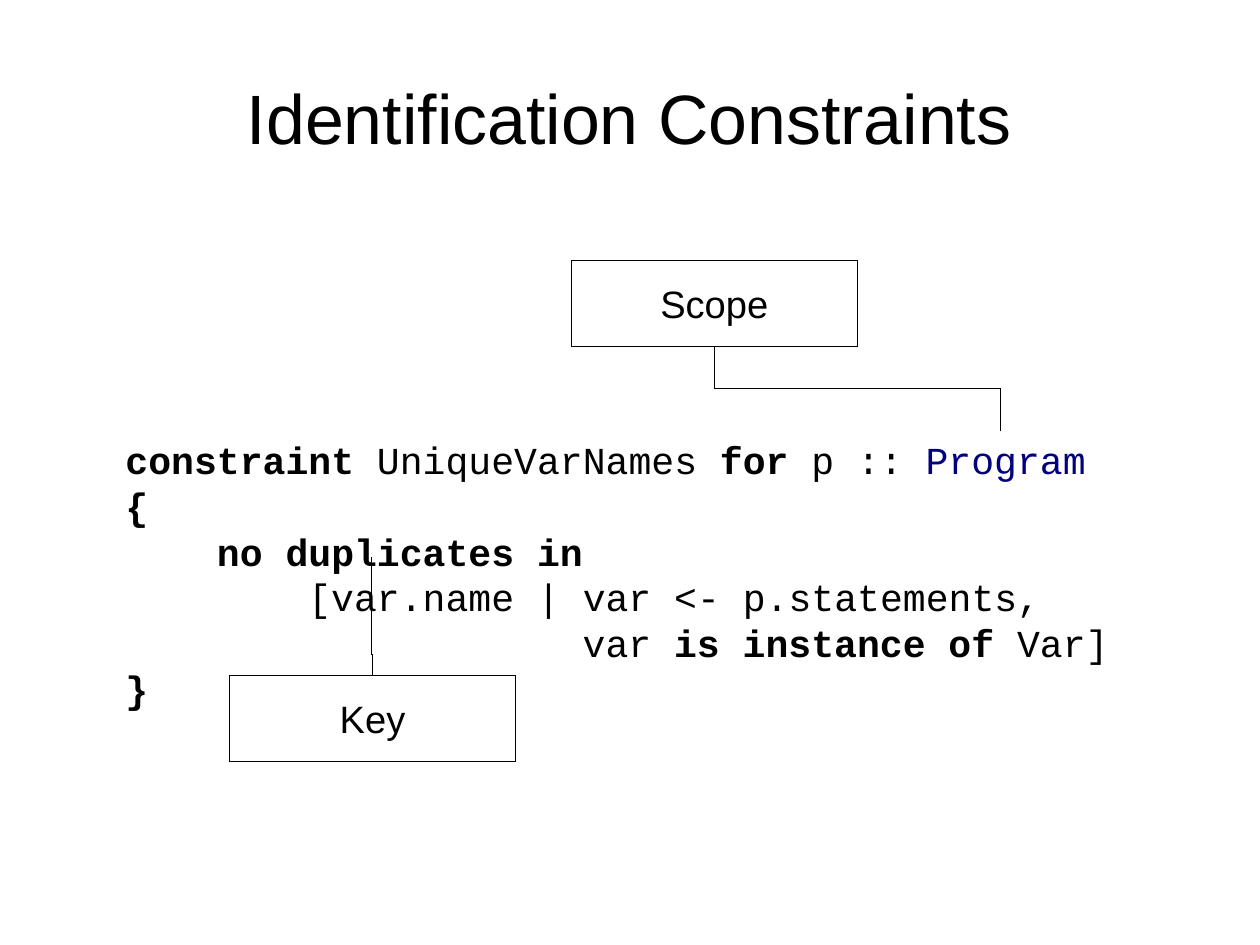
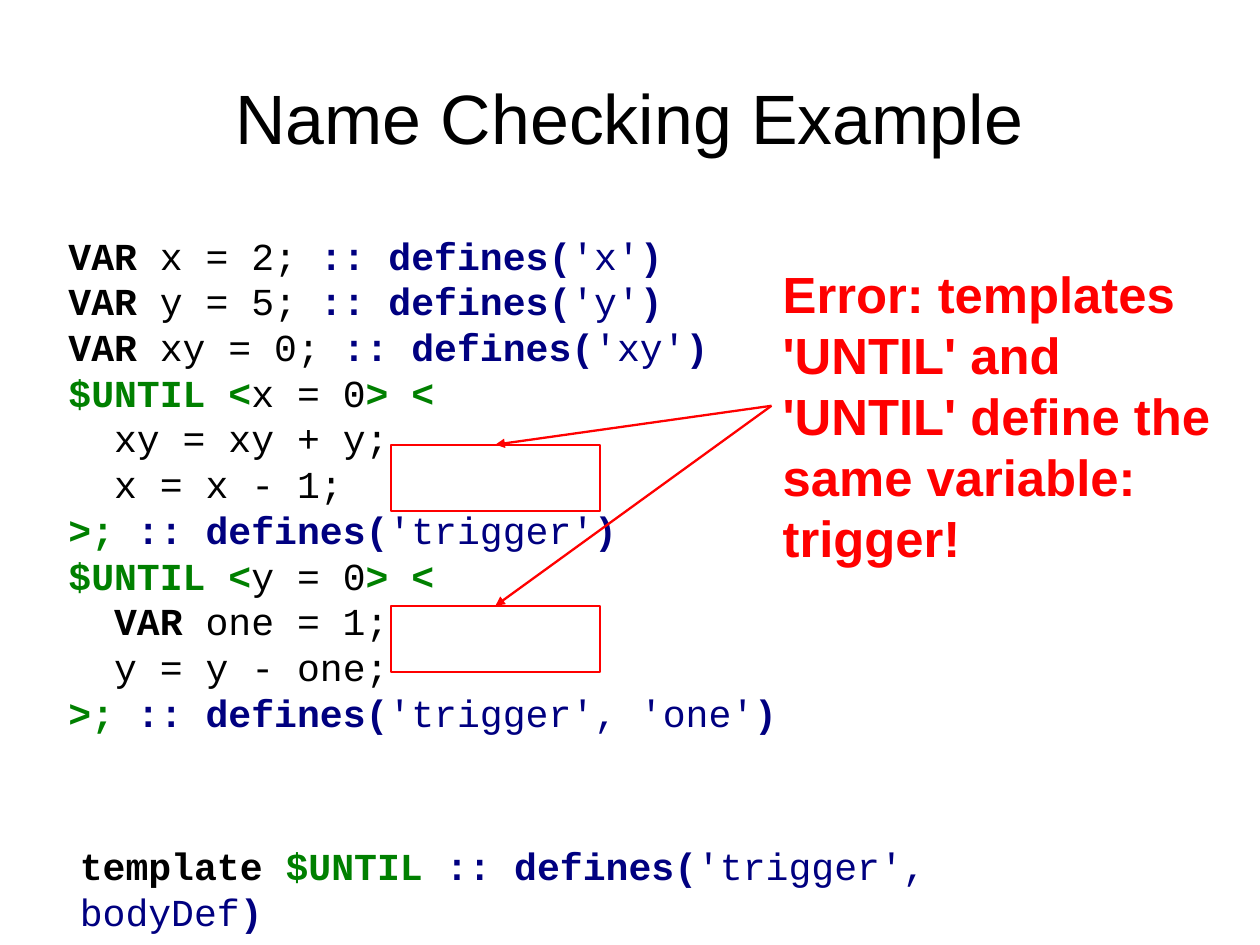
import pptx
import pptx.util
import pptx.dml.color
import pptx.enum.shapes
import pptx.enum.text
import pptx.oxml.ns
from lxml import etree

Inches, Pt = pptx.util.Inches, pptx.util.Pt
qn = pptx.oxml.ns.qn
ALIGN = pptx.enum.text.PP_ALIGN
ANCHOR = pptx.enum.text.MSO_ANCHOR
CONNECTOR = pptx.enum.shapes.MSO_CONNECTOR

COLORS = {"text": "000000", "type": "000080", "template": "008000",
          "error": "FF0000", "paper": "FFFFFF"}
SANS, MONO = "Arial", "Courier New"
CODE_SIZE, LINE_FACTOR = 24, 1.2
CHAR_WIDTH = 0.2  # one character of the code font, in inches

# Run styles: colour, bold
PLAIN, KEYWORD = ("text", False), ("text", True)
ATTR, ATTR_BOLD = ("type", False), ("type", True)
TEMPLATE, ERROR = ("template", True), ("error", True)


def defines(names):
    return [(":: defines(", ATTR_BOLD), (names, ATTR), (")", ATTR_BOLD)]


def declaration(name, value):
    return (0, [("VAR", KEYWORD), (f" {name} = {value}; ", PLAIN), *defines(f"'{name}'")])


def until_head(variable):
    return (0, [("$UNTIL <", TEMPLATE), (f"{variable} = 0", PLAIN), ("> <", TEMPLATE)])


def until_end(names):
    return (0, [(">; ", TEMPLATE), *defines(names)])


# Code lines: indent in characters, runs
CONSTRAINT_CODE = [
    (0, [("constraint", KEYWORD), (" UniqueVarNames ", PLAIN), ("for", KEYWORD),
         (" p :: ", PLAIN), ("Program ", ATTR), ("{", KEYWORD)]),
    (4, [("no duplicates in", KEYWORD)]),
    (8, [("[var.name | var <- p.statements,", PLAIN)]),
    (20, [("var ", PLAIN), ("is instance of ", KEYWORD), ("Var]", PLAIN)]),
    (0, [("}", KEYWORD)]),
]
CHECKED_CODE = [
    declaration("x", 2),
    declaration("y", 5),
    declaration("xy", 0),
    until_head("x"),
    (2, [("xy = xy + y;", PLAIN)]),
    (2, [("x = x - 1;", PLAIN)]),
    until_end("'trigger'"),
    until_head("y"),
    (2, [("VAR ", KEYWORD), ("one = 1;", PLAIN)]),
    (2, [("y = y - one;", PLAIN)]),
    until_end("'trigger', 'one'"),
]
TEMPLATE_CODE = [
    (0, [("template ", KEYWORD), ("$UNTIL ", TEMPLATE), *defines("'trigger', bodyDef")]),
]
ERROR_TEXT = "Error: templates 'UNTIL' and 'UNTIL' define the same variable: trigger!"

# Callouts: label, left, top, side of the box the link leaves, target, bend
LABEL_SIZE = (2.5, 0.75)
CALLOUTS = [
    ("Scope", 5, 2.28, "bottom", (8.75, 3.77), 0.5),
    ("Key", 2.01, 5.91, "top", (3.25, 4.88), 0.18),
]
MARK_LEFT, MARK_TOPS, MARK_SIZE = 3.42, (5.3, 3.89), (1.83, 0.58)
ERROR_ORIGIN = (6.75, 3.55)


def rgb(name):
    return pptx.dml.color.RGBColor.from_string(COLORS[name])


def inches(*values):
    return [Inches(value) for value in values]


def write(frame, lines, font, size, align=ALIGN.LEFT, anchor=ANCHOR.TOP, inset=(0.1, 0.05)):
    """Fill a text frame with lines of (indent, styled runs)."""
    frame.word_wrap = True
    frame.vertical_anchor = anchor
    frame.margin_left = frame.margin_right = Inches(inset[0])
    frame.margin_top = frame.margin_bottom = Inches(inset[1])
    for number, (indent, runs) in enumerate(lines):
        paragraph = frame.add_paragraph() if number else frame.paragraphs[0]
        paragraph.alignment = align
        paragraph.line_spacing = Pt(size * LINE_FACTOR)
        if indent:
            paragraph._p.get_or_add_pPr().set("marL", str(Inches(indent * CHAR_WIDTH)))
        for text, (color, bold) in runs:
            run = paragraph.add_run()
            run.text = text
            run.font.name, run.font.size, run.font.bold = font, Pt(size), bold
            run.font.color.rgb = rgb(color)


def add_text(slide, box, lines, font=MONO, size=CODE_SIZE, **layout):
    write(slide.shapes.add_textbox(*inches(*box)).text_frame, lines, font, size, **layout)


def add_titled_slide(deck, title):
    slide = deck.slides.add_slide(deck.slide_layouts[6])
    add_text(slide, (0.55, 0.38, 9.92, 1.28), [(0, [(title, PLAIN)])], SANS, 44,
             align=ALIGN.CENTER, anchor=ANCHOR.MIDDLE, inset=(0, 0))
    return slide


def set_line(line, color, width):
    """Colour and width; the attribute is written even for a hairline of width 0."""
    line.color.rgb = rgb(color)
    line._get_or_add_ln().set("w", str(Pt(width)))


def add_box(slide, box, line_color, line_width, fill=None):
    rect = slide.shapes.add_shape(pptx.enum.shapes.MSO_SHAPE.RECTANGLE, *inches(*box))
    rect.shadow.inherit = False
    if fill:
        rect.fill.solid()
        rect.fill.fore_color.rgb = rgb(fill)
    else:
        rect.fill.background()
    set_line(rect.line, line_color, line_width)
    return rect


def add_link(slide, kind, start, end, color, width):
    link = slide.shapes.add_connector(kind, *inches(*start, *end))
    set_line(link.line, color, width)
    etree.SubElement(link._element.spPr, qn("a:effectLst"))
    return link


def add_vertical_elbow(slide, start, end, bend):
    """Elbow that leaves and arrives vertically: a plain elbow turned by 270 degrees."""
    middle_x, middle_y = [(a + b) / 2 for a, b in zip(start, end)]
    half_x, half_y = [(b - a) / 2 for a, b in zip(start, end)]
    link = add_link(slide, CONNECTOR.ELBOW,
                    (middle_x + half_y, middle_y - half_x),
                    (middle_x - half_y, middle_y + half_x), "text", 0)
    properties = link._element.spPr
    properties.find(qn("a:xfrm")).set("rot", str(270 * 60000))
    geometry = properties.find(qn("a:prstGeom"))
    guides = geometry.find(qn("a:avLst"))
    if guides is None:
        guides = etree.SubElement(geometry, qn("a:avLst"))
    etree.SubElement(guides, qn("a:gd"), name="adj1", fmla=f"val {round(bend * 100000)}")


def add_arrow(slide, start, end):
    arrow = add_link(slide, CONNECTOR.STRAIGHT, start, end, "error", 1.45)
    etree.SubElement(arrow.line._get_or_add_ln(), qn("a:tailEnd"), type="triangle")


def build_constraints(deck):
    slide = add_titled_slide(deck, "Identification Constraints")
    add_text(slide, (1, 3.77, 8.9, 2.5), CONSTRAINT_CODE)
    width, height = LABEL_SIZE
    for label, left, top, side, target, bend in CALLOUTS:
        box = add_box(slide, (left, top, width, height), "text", 0, "paper")
        write(box.text_frame, [(0, [(label, PLAIN)])], SANS, 24,
              align=ALIGN.CENTER, anchor=ANCHOR.MIDDLE)
        start = (left + width / 2, top + height if side == "bottom" else top)
        add_vertical_elbow(slide, start, target, bend)


def build_name_checking(deck):
    slide = add_titled_slide(deck, "Name Checking Example")
    add_text(slide, (0.5, 1.98, 6.75, 4.5), CHECKED_CODE)
    add_text(slide, (0.6, 7.32, 9.3, 0.9), TEMPLATE_CODE)
    add_text(slide, (6.75, 2.25, 4, 2.59), [(0, [(ERROR_TEXT, ERROR)])], SANS, 32)
    for top in MARK_TOPS:
        add_box(slide, (MARK_LEFT, top, *MARK_SIZE), "error", 1.45)
        add_arrow(slide, ERROR_ORIGIN, (MARK_LEFT + MARK_SIZE[0] / 2, top))


def main():
    deck = pptx.Presentation()
    deck.slide_width = Pt(793.75)
    deck.slide_height = Pt(595.25)
    build_constraints(deck)
    build_name_checking(deck)
    deck.save("out.pptx")


if __name__ == "__main__":
    main()
